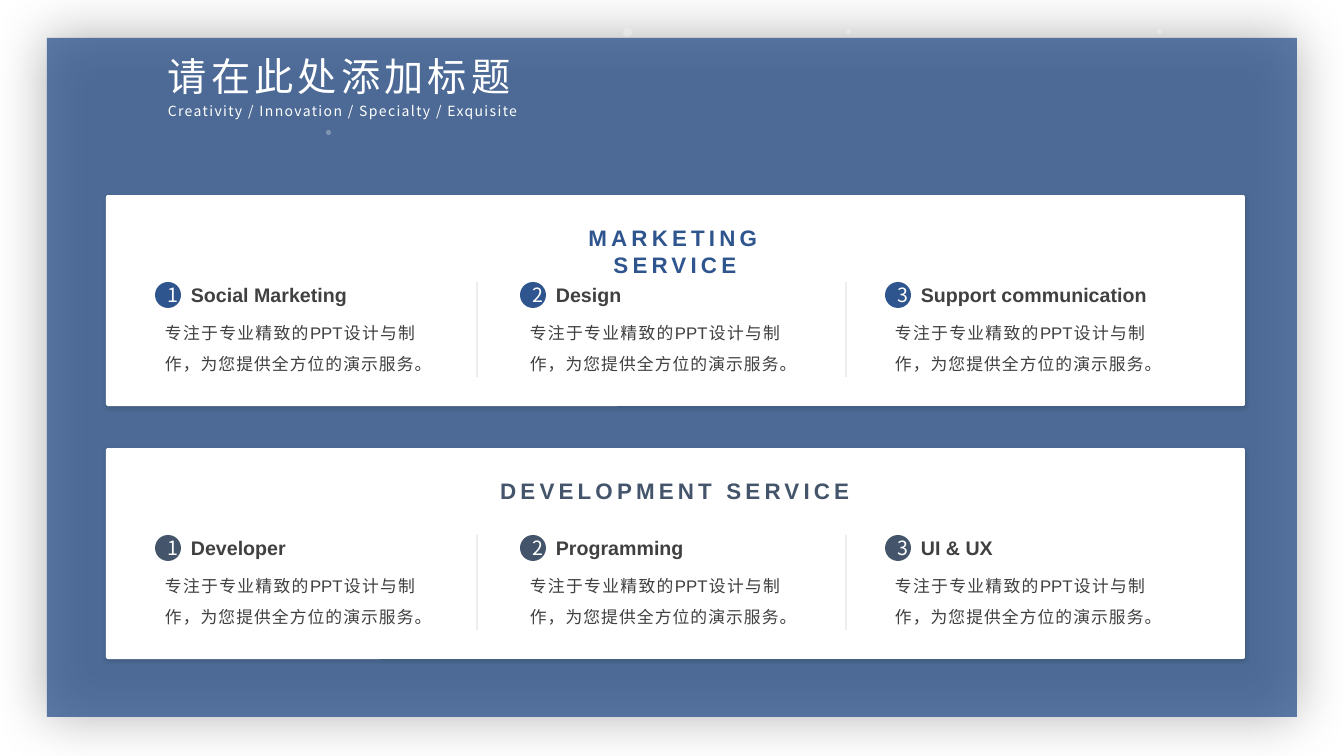
from lxml import etree
from pptx import Presentation
from pptx.dml.color import RGBColor
from pptx.enum.shapes import MSO_CONNECTOR, MSO_SHAPE
from pptx.enum.text import MSO_ANCHOR, PP_ALIGN
from pptx.oxml.ns import qn
from pptx.util import Pt

PX = 914400 / 100.8
RECTANGLE, ROUNDED, OVAL = MSO_SHAPE.RECTANGLE, MSO_SHAPE.ROUNDED_RECTANGLE, MSO_SHAPE.OVAL
LEFT, CENTER, JUSTIFY = PP_ALIGN.LEFT, PP_ALIGN.CENTER, PP_ALIGN.JUSTIFY
TOP, MIDDLE = MSO_ANCHOR.TOP, MSO_ANCHOR.MIDDLE
WHITE, BLUE, SLATE, GREY = "FFFFFF", "2E558D", "44546A", "404040"
CJK = "Noto Sans CJK SC"
DESCRIPTION = "专注于专业精致的PPT设计与制作，为您提供全方位的演示服务。"

presentation = Presentation()
presentation.slide_width = round(1344 * PX)
presentation.slide_height = round(756 * PX)
slide = presentation.slides.add_slide(presentation.slide_layouts[6])


def add_panel(kind, box, color, opacity=100, shadow=None):
    """Add a borderless shape; shadow is (opacity, blur, distance, degrees)."""
    shape = slide.shapes.add_shape(kind, *[round(value * PX) for value in box])
    shape.fill.solid()
    shape.fill.fore_color.rgb = RGBColor.from_string(color)
    shape.line.fill.background()
    shape.shadow.inherit = False
    if opacity < 100:
        fill_color = shape.fill._xPr.find(".//" + qn("a:srgbClr"))
        etree.SubElement(fill_color, qn("a:alpha"), val=str(opacity * 1000))
    if shadow:
        shade, blur, distance, degrees = shadow
        effects = shape._element.spPr.find(qn("a:effectLst"))
        outer = etree.SubElement(
            effects, qn("a:outerShdw"), blurRad=str(Pt(blur)), dist=str(Pt(distance)),
            dir=str(degrees * 60000), algn="ctr", rotWithShape="0")
        shadow_color = etree.SubElement(outer, qn("a:srgbClr"), val="000000")
        etree.SubElement(shadow_color, qn("a:alpha"), val=str(shade * 1000))
    return shape


def write(target, text, size, color, name="Arial", bold=False, align=LEFT,
          anchor=TOP, line_spacing=1.0, tracking=0):
    """Write one paragraph into a shape, or into a new text box at a px box."""
    if isinstance(target, tuple):
        target = slide.shapes.add_textbox(*[round(value * PX) for value in target])
    frame = target.text_frame
    frame.word_wrap = True
    frame.vertical_anchor = anchor
    paragraph = frame.paragraphs[0]
    paragraph.alignment = align
    paragraph.line_spacing = line_spacing
    run = paragraph.add_run()
    run.text = text
    run.font.color.rgb = RGBColor.from_string(color)
    for key, value in {"size": Pt(size), "bold": bold, "name": name}.items():
        setattr(run.font, key, value)
    properties = run.font._element
    properties.set("lang", "zh-CN")
    properties.set("spc", str(tracking * 100))
    etree.SubElement(properties, qn("a:ea"), typeface=CJK)


add_panel(RECTANGLE, (47, 38, 1250, 679), BLUE, 77, (40, 40, 0, 0))
for left, top, diameter in ((326, 130, 5), (623, 28, 9), (846, 29, 5), (1157, 29, 5)):
    add_panel(OVAL, (left, top, diameter, diameter), "FAFAFA", 30)

write((158, 53, 497, 48), "请在此处添加标题", 28, WHITE, CJK, line_spacing=0.9, tracking=3)
write((158, 99, 497, 26), "Creativity / Innovation / Specialty / Exquisite", 10, WHITE, CJK,
      line_spacing=0.9, tracking=1)

services = (
    ("MARKETING SERVICE", 304, BLUE, ("Social Marketing", "Design", "Support communication")),
    ("DEVELOPMENT SERVICE", 400, SLATE, ("Developer", "Programming", "UI & UX")),
)
for row, (heading, heading_width, accent, topics) in enumerate(services):
    card_top = 195 + row * 253
    card = add_panel(ROUNDED, (106, card_top, 1139, 211), WHITE, shadow=(15, 3, 1, 90))
    card.adjustments[0] = 0.01
    write((675 - heading_width // 2, card_top + 24, heading_width, 37), heading, 16, accent,
          bold=True, align=CENTER, tracking=3)

    for column, topic in enumerate(topics):
        left = 155 + column * 365 - (column == 0) * 0
        badge = add_panel(OVAL, (left, card_top + 87, 26, 26), accent)
        write(badge, str(column + 1), 14, WHITE, CJK, align=CENTER, anchor=MIDDLE)
        write((left + 26, card_top + 83, 260, 34), topic, 14, GREY, bold=True, anchor=MIDDLE)
        write((left, card_top + 113, 270, 72), DESCRIPTION, 12, GREY, align=JUSTIFY,
              line_spacing=1.5)

    for x in (477, 846):
        ends = (x, card_top + 87, x, card_top + 182)
        divider = slide.shapes.add_connector(
            MSO_CONNECTOR.STRAIGHT, *[round(value * PX) for value in ends])
        divider.line.width = Pt(0.5)
        divider.line.color.rgb = RGBColor.from_string("000000")
        line_color = divider.line._ln.find(".//" + qn("a:srgbClr"))
        etree.SubElement(line_color, qn("a:alpha"), val="20000")
        etree.SubElement(divider._element.spPr, qn("a:effectLst"))

presentation.save("out.pptx")
